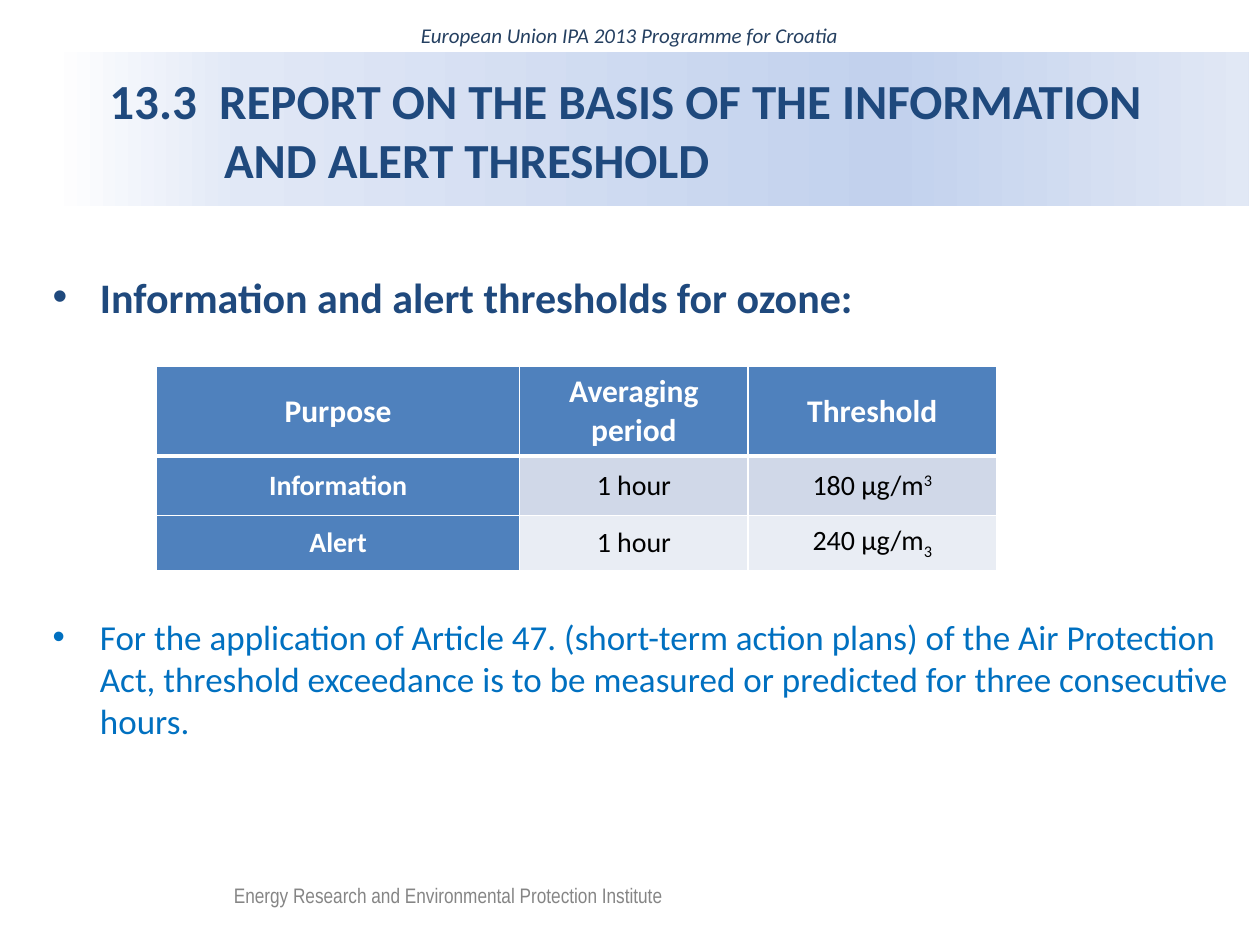
import lxml.etree
import pptx
import pptx.dml.color
import pptx.enum.shapes
import pptx.enum.text
import pptx.oxml
import pptx.oxml.ns
import pptx.util

Pt = pptx.util.Pt
ALIGN = pptx.enum.text.PP_ALIGN
ANCHOR = pptx.enum.text.MSO_ANCHOR
qn = pptx.oxml.ns.qn

COLORS = {
    "white": "FFFFFF", "black": "000000", "navy": "1F497D",
    "heading": "254061", "note": "0070C0", "header": "4F81BD",
    "odd": "D0D8E8", "even": "E9EDF4",
}
BANNER_STOPS = [(0, "FFFFFF"), (16, "E1E8F6"), (70, "C2D1ED"), (100, "E1E8F5")]


def color(name):
    return pptx.dml.color.RGBColor.from_string(COLORS[name])


class SlideBuilder:
    font_name = "Calibri"

    def __init__(self, slide):
        self.slide = slide

    def add_spans(self, para, spans, tint, para_format=None, **font_format):
        """Fill a paragraph with (text, baseline percent) spans."""
        for key, value in (para_format or {}).items():
            setattr(para, key, value)
        for text, baseline in spans:
            span = para.add_run()
            span.text = text
            for key, value in {"name": self.font_name, **font_format}.items():
                setattr(span.font, key, value)
            span.font.color.rgb = color(tint)
            if baseline:
                span.font._element.set("baseline", str(baseline * 1000))

    def indent(self, para, left, first, bullet=None):
        properties = para._p.get_or_add_pPr()
        properties.set("marL", str(Pt(left)))
        properties.set("indent", str(Pt(first)))
        if bullet:
            mark_font = lxml.etree.SubElement(properties, qn("a:buFont"))
            mark_font.set("typeface", "Arial")
            mark = lxml.etree.SubElement(properties, qn("a:buChar"))
            mark.set("char", bullet)

    def text_box(self, left, top, width, height, wrap=True):
        box = self.slide.shapes.add_textbox(Pt(left), Pt(top), Pt(width), Pt(height))
        box.text_frame.word_wrap = wrap
        return box.text_frame

    def rectangle(self, left, top, width, height):
        box = self.slide.shapes.add_shape(
            pptx.enum.shapes.MSO_SHAPE.RECTANGLE,
            Pt(left), Pt(top), Pt(width), Pt(height))
        box.shadow.inherit = False
        box.line.fill.background()
        return box

    def gradient(self, box, stops):
        box.fill.gradient()
        box.fill.gradient_angle = 0
        stop_list = box._element.spPr.find(".//" + qn("a:gsLst"))
        for old_stop in list(stop_list):
            stop_list.remove(old_stop)
        for position, value in stops:
            stop = lxml.etree.SubElement(stop_list, qn("a:gs"), pos=str(position * 1000))
            lxml.etree.SubElement(stop, qn("a:srgbClr"), val=value)

    def veil(self, left, top, width, height, opacity):
        box = self.rectangle(left, top, width, height)
        box.fill.solid()
        box.fill.fore_color.rgb = color("white")
        tint = box._element.spPr.find(".//" + qn("a:srgbClr"))
        lxml.etree.SubElement(tint, qn("a:alpha"), val=str(opacity * 1000))

    def borders(self, cell, widths):
        properties = cell._tc.get_or_add_tcPr()
        for place, (side, width) in enumerate(widths.items()):
            line = lxml.etree.Element(qn("a:ln" + side), w=str(Pt(width)))
            fill = lxml.etree.SubElement(line, qn("a:solidFill"))
            lxml.etree.SubElement(fill, qn("a:srgbClr"), val=COLORS["white"])
            properties.insert(place, line)

    def table(self, left, top, columns, rows, content):
        grid = self.slide.shapes.add_table(
            len(rows), len(columns), Pt(left), Pt(top),
            Pt(sum(columns)), Pt(sum(rows))).table
        for column, width in zip(grid.columns, columns):
            column.width = Pt(width)
        for row, height in zip(grid.rows, rows):
            row.height = Pt(height)
        for i, row_content in enumerate(content):
            for j, spans in enumerate(row_content):
                cell = grid.cell(i, j)
                cell.vertical_anchor = ANCHOR.MIDDLE
                is_label = i == 0 or j == 0
                cell.fill.solid()
                cell.fill.fore_color.rgb = color(
                    "header" if is_label else "odd" if i % 2 else "even")
                # A thick rule parts the header from the values
                self.borders(cell, {"L": 1, "R": 1, "T": 3 if i == 1 else 1,
                                    "B": 3 if i == 0 else 1})
                self.add_spans(cell.text_frame.paragraphs[0], spans,
                               "white" if is_label else "black",
                               {"alignment": ALIGN.CENTER},
                               size=Pt(16 if i else 18), bold=is_label)


def plain(text):
    return [(text, 0)]


def main():
    deck = pptx.Presentation()
    deck.slide_width, deck.slide_height = Pt(720), Pt(540)
    builder = SlideBuilder(deck.slides.add_slide(deck.slide_layouts[6]))

    # Title banner
    banner = builder.rectangle(29.5, 30, 684, 87.5)
    builder.gradient(banner, BANNER_STOPS)
    banner.text_frame.word_wrap = True
    banner.text_frame.vertical_anchor = ANCHOR.MIDDLE
    para = banner.text_frame.paragraphs[0]
    builder.indent(para, 91.5, -65.5)
    builder.add_spans(
        para, plain("13.3  REPORT ON THE BASIS OF THE INFORMATION AND ALERT THRESHOLD"),
        "navy", {"alignment": ALIGN.LEFT}, size=Pt(28), bold=True)

    # Bullets, with room for the table between them
    frame = builder.text_box(23, 151.5, 690.5, 388)
    bullets = [
        ("Information and alert thresholds for ozone:", "navy", 24, True, 0),
        ("For the application of Article 47. (short-term action plans) of the Air "
         "Protection Act, threshold exceedance is to be measured or predicted for "
         "three consecutive hours.", "note", 20, False, 168),
    ]
    for number, (text, tint, size, bold, gap) in enumerate(bullets):
        para = frame.add_paragraph() if number else frame.paragraphs[0]
        para.space_before = Pt(gap)
        builder.indent(para, 27, -27, "•")
        builder.add_spans(para, plain(text), tint, size=Pt(size), bold=bold)

    # Footer, softened by a translucent veil
    frame = builder.text_box(126.5, 501, 262, 22, wrap=False)
    builder.add_spans(frame.paragraphs[0],
                      plain("Energy Research and Environmental Protection Institute"),
                      "black", size=Pt(12), name="Arial Narrow")
    builder.veil(29.5, 500.5, 359, 34.5, 52)

    # Programme line
    frame = builder.text_box(0, 11, 719.5, 23)
    builder.add_spans(frame.paragraphs[0],
                      plain("European Union IPA 2013 Programme for Croatia"), "heading",
                      {"alignment": ALIGN.CENTER, "line_spacing": 0.9},
                      size=Pt(12), italic=True)

    # Threshold table
    builder.table(89.5, 209.5, [207.5, 130.5, 142], [51, 34, 31.5], [
        [plain("Purpose"), plain("Averaging period"), plain("Threshold")],
        [plain("Information"), plain("1 hour"), [("180 µg/m", 0), ("3", 30)]],
        [plain("Alert"), plain("1 hour"), [("240 µg/m", 0), ("3", -25)]],
    ])

    deck.save("out.pptx")


if __name__ == "__main__":
    main()
